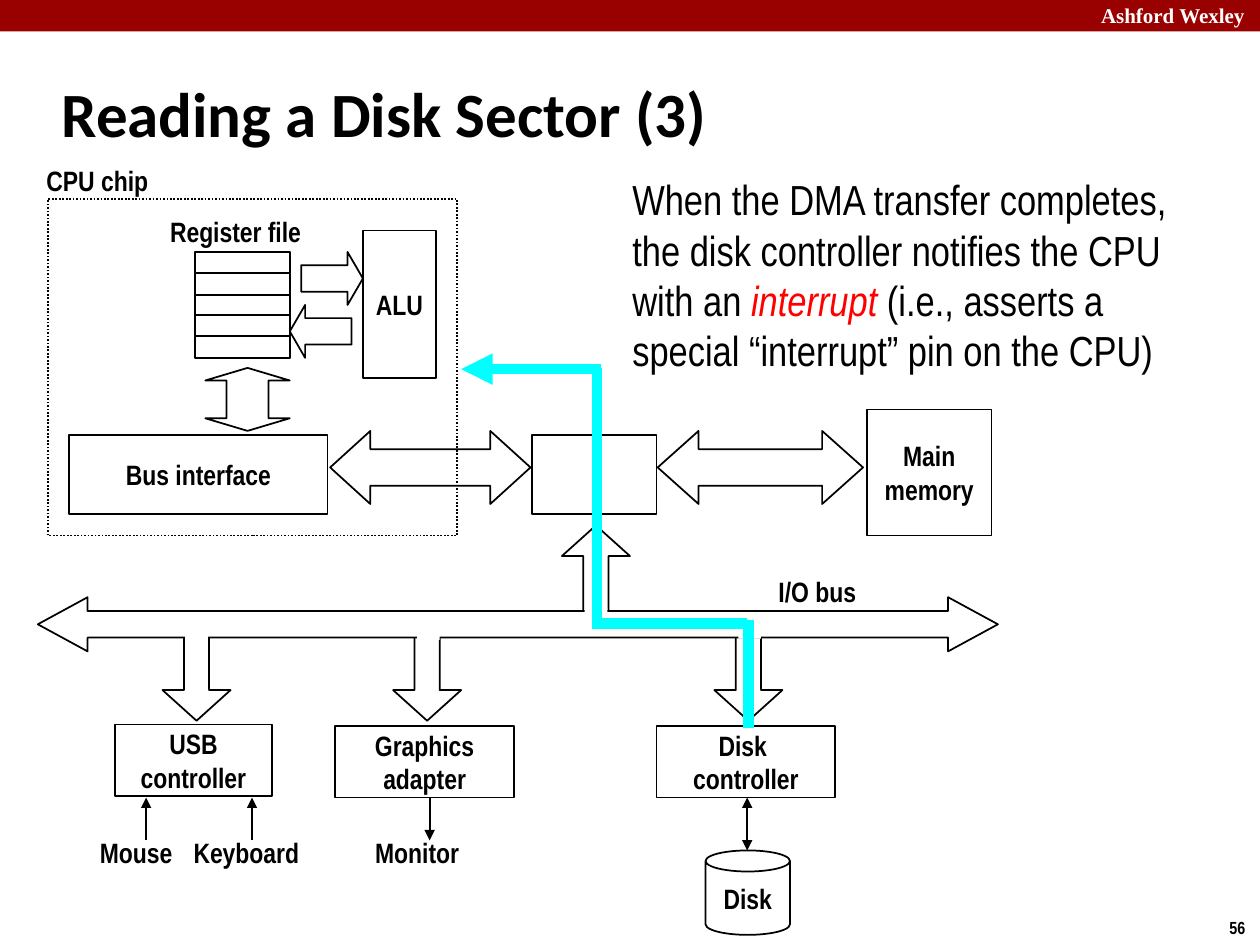
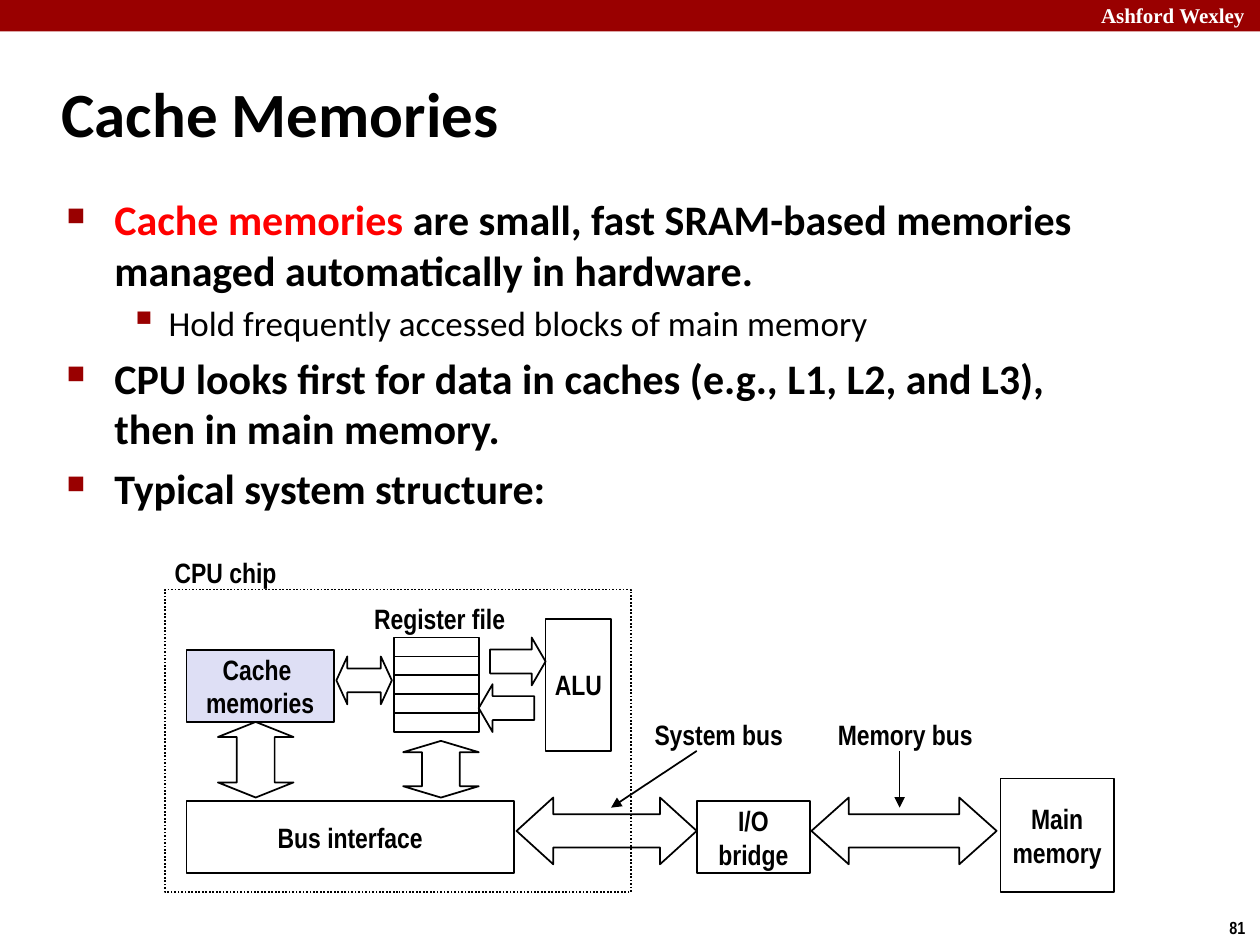
from dataclasses import dataclass
from typing import NamedTuple

from lxml.etree import SubElement
from pptx import Presentation
from pptx.dml.color import RGBColor
from pptx.enum.dml import MSO_LINE_DASH_STYLE as Dash
from pptx.enum.shapes import MSO_CONNECTOR, MSO_SHAPE as Preset
from pptx.enum.text import MSO_ANCHOR as Anchor, PP_ALIGN as Align
from pptx.oxml.ns import qn
from pptx.util import Emu, Pt

PX = 9144  # 100 px to the inch
BLACK, WHITE, RED = "000000", "FFFFFF", "FF0000"
CRIMSON, CYAN, LAVENDER = "990000", "00FFFF", "DEDFF5"
HEADING_FONT, DIAGRAM_FONT, BAND_FONT = "Calibri", "Arial Narrow", "Times New Roman"


class Box(NamedTuple):
    left: int
    top: int
    width: int
    height: int


class Run(NamedTuple):
    text: str
    size: int = 16
    font: str = DIAGRAM_FONT
    color: str = BLACK
    bold: bool = True
    italic: bool = False


class Node(NamedTuple):
    box: Box
    text: str = ""
    preset: Preset = Preset.RECTANGLE
    adjust: tuple[float, ...] = ()
    fill: str | None = None
    line: str | None = BLACK
    dash: Dash | None = None


class Label(NamedTuple):
    text: str
    left: int
    top: int
    width: int
    align: Align = Align.CENTER


class Wire(NamedTuple):
    """A straight line; an arrowhead may sit at its start, its end or both."""
    start: tuple[int, int]
    end: tuple[int, int]
    start_head: bool = False
    end_head: bool = True
    color: str = BLACK
    width: int = 1


class Bullet(NamedTuple):
    level: int
    runs: tuple[Run, ...]


class BulletStyle(NamedTuple):
    mark: str
    percent: int
    margin: int
    hang: int
    space_before: int


@dataclass(frozen=True)
class System:
    """The parts that both diagrams share."""
    chip: Box
    chip_label: Label
    registers: Box
    registers_label: Label
    to_alu: Box
    from_alu: Box
    alu: Box
    register_bus: Box
    bus_interface: Box
    system_bus: Box
    bridge: Box
    bridge_text: str
    memory_bus: Box
    memory: Box


BULLET_STYLES = (
    BulletStyle("■", 60, 38, 38, 5),
    BulletStyle("▪", 110, 81, 31, 4),
)


def px(length: int) -> Emu:
    return Emu(length * PX)


def place(box: Box) -> tuple[Emu, ...]:
    return tuple(px(length) for length in box)


def rgb(color: str) -> RGBColor:
    return RGBColor.from_string(color)


def add_run(paragraph, run: Run) -> None:
    text_run = paragraph.add_run()
    text_run.text = run.text
    font = text_run.font
    font.name, font.size = run.font, Pt(run.size)
    font.bold, font.italic = run.bold, run.italic
    font.color.rgb = rgb(run.color)


def next_paragraph(frame, index: int):
    return frame.add_paragraph() if index else frame.paragraphs[0]


def add_text(slide, box: Box, *runs: Run, align=Align.LEFT, anchor=Anchor.TOP, wrap=True):
    frame = slide.shapes.add_textbox(*place(box)).text_frame
    frame.word_wrap, frame.vertical_anchor = wrap, anchor
    paragraph = frame.paragraphs[0]
    paragraph.alignment = align
    for run in runs:
        add_run(paragraph, run)
    return frame


def draw_label(slide, label: Label) -> None:
    add_text(slide, Box(label.left, label.top, label.width, 37), Run(label.text),
             align=label.align, anchor=Anchor.MIDDLE, wrap=label.align == Align.LEFT)


def set_guides(shape, values: tuple[float, ...]) -> None:
    """Write the preset's guides by name: python-pptx misnames those of upDownArrow."""
    guides = shape._element.spPr.find(qn("a:prstGeom")).find(qn("a:avLst"))
    for guide in list(guides):
        guides.remove(guide)
    for number, value in enumerate(values, start=1):
        name = f"adj{number}" if len(values) > 1 else "adj"
        SubElement(guides, qn("a:gd"), name=name, fmla=f"val {round(value * 100000)}")


def draw_node(slide, node: Node) -> None:
    shape = slide.shapes.add_shape(node.preset, *place(node.box))
    shape.shadow.inherit = False
    if node.adjust:
        set_guides(shape, node.adjust)
    if node.fill:
        shape.fill.solid()
        shape.fill.fore_color.rgb = rgb(node.fill)
    else:
        shape.fill.background()
    if node.line:
        shape.line.color.rgb = rgb(node.line)
        shape.line.width = Pt(1)
        if node.dash:
            shape.line.dash_style = node.dash
    else:
        shape.line.fill.background()
    if node.text:
        frame = shape.text_frame
        frame.word_wrap, frame.vertical_anchor = False, Anchor.MIDDLE
        for index, text in enumerate(node.text.split("\n")):
            paragraph = next_paragraph(frame, index)
            paragraph.alignment = Align.CENTER
            add_run(paragraph, Run(text))


def draw_wire(slide, wire: Wire) -> None:
    ends = [px(value) for value in (*wire.start, *wire.end)]
    connector = slide.shapes.add_connector(MSO_CONNECTOR.STRAIGHT, *ends)
    connector.line.color.rgb = rgb(wire.color)
    connector.line.width = Pt(wire.width)
    properties = connector.line._get_or_add_ln()
    for tag, shown in (("a:headEnd", wire.start_head), ("a:tailEnd", wire.end_head)):
        if shown:
            SubElement(properties, qn(tag), type="triangle")
    SubElement(connector._element.spPr, qn("a:effectLst"))


def draw_bullets(slide, box: Box, bullets: tuple[Bullet, ...]) -> None:
    frame = add_text(slide, box)
    for index, bullet in enumerate(bullets):
        paragraph = next_paragraph(frame, index)
        style = BULLET_STYLES[bullet.level]
        paragraph.level = bullet.level
        paragraph.space_before = Pt(style.space_before)
        properties = paragraph._p.get_or_add_pPr()
        properties.set("marL", str(px(style.margin)))
        properties.set("indent", str(-px(style.hang)))
        SubElement(SubElement(properties, qn("a:buClr")), qn("a:srgbClr"), val=CRIMSON)
        SubElement(properties, qn("a:buSzPct"), val=str(style.percent * 1000))
        SubElement(properties, qn("a:buChar"), char=style.mark)
        for run in bullet.runs:
            add_run(paragraph, run)


def draw_registers(slide, box: Box, rows: int = 5) -> None:
    edges = [round(box.top + box.height * row / rows) for row in range(rows + 1)]
    for top, bottom in zip(edges, edges[1:]):
        draw_node(slide, Node(Box(box.left, top, box.width, bottom - top)))


def draw_system(slide, system: System) -> None:
    draw_registers(slide, system.registers)
    for node in (
        Node(system.memory, "Main\nmemory"),
        Node(system.memory_bus, preset=Preset.LEFT_RIGHT_ARROW, adjust=(0.5, 0.56)),
        Node(system.bridge, system.bridge_text),
        Node(system.system_bus, preset=Preset.LEFT_RIGHT_ARROW, adjust=(0.5, 0.55)),
        Node(system.bus_interface, "Bus interface"),
        Node(system.to_alu, preset=Preset.RIGHT_ARROW, adjust=(0.5, 0.29)),
        Node(system.from_alu, preset=Preset.LEFT_ARROW, adjust=(0.5, 0.29)),
        Node(system.alu, "ALU"),
        Node(system.register_bus, preset=Preset.UP_DOWN_ARROW, adjust=(0.5, 0.2)),
        Node(system.chip, dash=Dash.ROUND_DOT),
    ):
        draw_node(slide, node)
    draw_label(slide, system.chip_label)
    draw_label(slide, system.registers_label)


def new_slide(presentation, title: str, number: int):
    """Add a blank slide with the band, page number and title."""
    slide = presentation.slides.add_slide(presentation.slide_layouts[6])
    draw_node(slide, Node(Box(0, 0, 1000, 25), fill=CRIMSON, line=None))
    add_text(slide, Box(864, -3, 143, 30), Run("Ashford Wexley", 12, BAND_FONT, WHITE))
    add_text(slide, Box(965, 723, 34, 27), Run(str(number), 10),
             align=Align.CENTER, wrap=False)
    add_text(slide, Box(39, 48, 830, 83), Run(title, 36, HEADING_FONT),
             anchor=Anchor.MIDDLE)
    return slide


def build_disk_slide(presentation) -> None:
    slide = new_slide(presentation, "Reading a Disk Sector (3)", 56)
    draw_system(slide, System(
        chip=Box(38, 158, 325, 267),
        chip_label=Label("CPU chip", 27, 125, 119, Align.LEFT),
        registers=Box(155, 200, 75, 84),
        registers_label=Label("Register file", 124, 165, 126),
        to_alu=Box(239, 200, 49, 42), from_alu=Box(230, 242, 49, 42),
        alu=Box(288, 183, 58, 117), register_bus=Box(163, 292, 67, 50),
        bus_interface=Box(55, 345, 205, 63), system_bus=Box(262, 342, 159, 58),
        bridge=Box(422, 345, 99, 63), bridge_text="",
        memory_bus=Box(522, 342, 163, 58), memory=Box(688, 325, 99, 100),
    ))
    branch = (0.37, 0.45)
    draw_node(slide, Node(Box(446, 417, 54, 75), preset=Preset.UP_ARROW, adjust=branch))
    for branch_left, box, text in (
        (129, Box(91, 575, 125, 57), "USB\ncontroller"),
        (312, Box(266, 576, 142, 57), "Graphics\nadapter"),
        (567, Box(521, 576, 142, 57), "Disk \ncontroller"),
    ):
        draw_node(slide, Node(Box(branch_left, 497, 54, 75),
                              preset=Preset.DOWN_ARROW, adjust=branch))
        draw_node(slide, Node(box, text))
    draw_node(slide, Node(Box(560, 675, 67, 67), "Disk", Preset.CAN, (0.25,)))
    draw_node(slide, Node(Box(30, 474, 762, 43), preset=Preset.LEFT_RIGHT_ARROW,
                          adjust=(0.49, 0.92), fill=WHITE))
    for left, top in ((147, 492), (331, 491), (586, 490), (464, 483)):
        draw_node(slide, Node(Box(left, top, 18, 17), fill=WHITE, line=None))
    for label in (
        Label("Mouse", 69, 658, 78),
        Label("Keyboard", 143, 658, 105),
        Label("Monitor", 287, 658, 88),
        Label("I/O bus", 608, 451, 96, Align.LEFT),
    ):
        draw_label(slide, label)
    for wire in (
        Wire((116, 667), (116, 633)),
        Wire((200, 667), (200, 633)),
        Wire((341, 633), (341, 667)),
        Wire((593, 633), (593, 675), start_head=True),
        Wire((477, 293), (366, 293), color=CYAN, width=6),
        Wire((474, 292), (474, 492), end_head=False, color=CYAN, width=6),
        Wire((470, 495), (593, 495), end_head=False, color=CYAN, width=6),
        Wire((594, 492), (594, 578), end_head=False, color=CYAN, width=6),
    ):
        draw_wire(slide, wire)
    plain = Run("", 24, bold=False)
    add_text(
        slide, Box(492, 133, 475, 172),
        plain._replace(text="When the DMA transfer completes, the disk controller "
                            "notifies the CPU with an "),
        plain._replace(text="interrupt", color=RED, italic=True),
        plain._replace(text=" (i.e., asserts a special “interrupt” pin on the CPU)"),
    )


def build_cache_slide(presentation) -> None:
    slide = new_slide(presentation, "Cache Memories", 81)
    strong = Run("", 24, HEADING_FONT)
    draw_bullets(slide, Box(43, 149, 864, 544), (
        Bullet(0, (strong._replace(text="Cache memories ", color=RED),
                   strong._replace(text="are small, fast SRAM-based memories "
                                        "managed automatically in hardware."))),
        Bullet(1, (Run("Hold frequently accessed blocks of main memory", 20,
                       HEADING_FONT, bold=False),)),
        Bullet(0, (strong._replace(text="CPU looks first for data in caches "
                                        "(e.g., L1, L2, and L3), then in main memory."),)),
        Bullet(0, (strong._replace(text="Typical system structure:"),)),
    ))
    draw_system(slide, System(
        chip=Box(131, 468, 370, 240),
        chip_label=Label("CPU chip", 128, 436, 102),
        registers=Box(313, 506, 67, 75),
        registers_label=Label("Register file", 286, 472, 126),
        to_alu=Box(389, 506, 44, 38), from_alu=Box(380, 543, 44, 38),
        alu=Box(433, 491, 52, 105), register_bus=Box(320, 588, 60, 45),
        bus_interface=Box(148, 636, 260, 57), system_bus=Box(410, 633, 143, 53),
        bridge=Box(553, 636, 90, 57), bridge_text="I/O\nbridge",
        memory_bus=Box(644, 633, 147, 53), memory=Box(794, 618, 90, 90),
    ))
    for node in (
        Node(Box(148, 516, 117, 57), "Cache \nmemories", fill=LAVENDER),
        Node(Box(173, 573, 60, 60), preset=Preset.UP_DOWN_ARROW, adjust=(0.5, 0.2)),
        Node(Box(267, 521, 44, 38), preset=Preset.LEFT_RIGHT_ARROW, adjust=(0.5, 0.23)),
    ):
        draw_node(slide, node)
    draw_label(slide, Label("System bus", 509, 564, 123))
    draw_wire(slide, Wire((553, 596), (485, 641)))
    draw_label(slide, Label("Memory bus", 654, 564, 129))
    draw_wire(slide, Wire((714, 596), (714, 641)))


def main() -> None:
    presentation = Presentation()
    presentation.slide_width, presentation.slide_height = px(1000), px(750)
    build_disk_slide(presentation)
    build_cache_slide(presentation)
    presentation.save("out.pptx")


if __name__ == "__main__":
    main()
